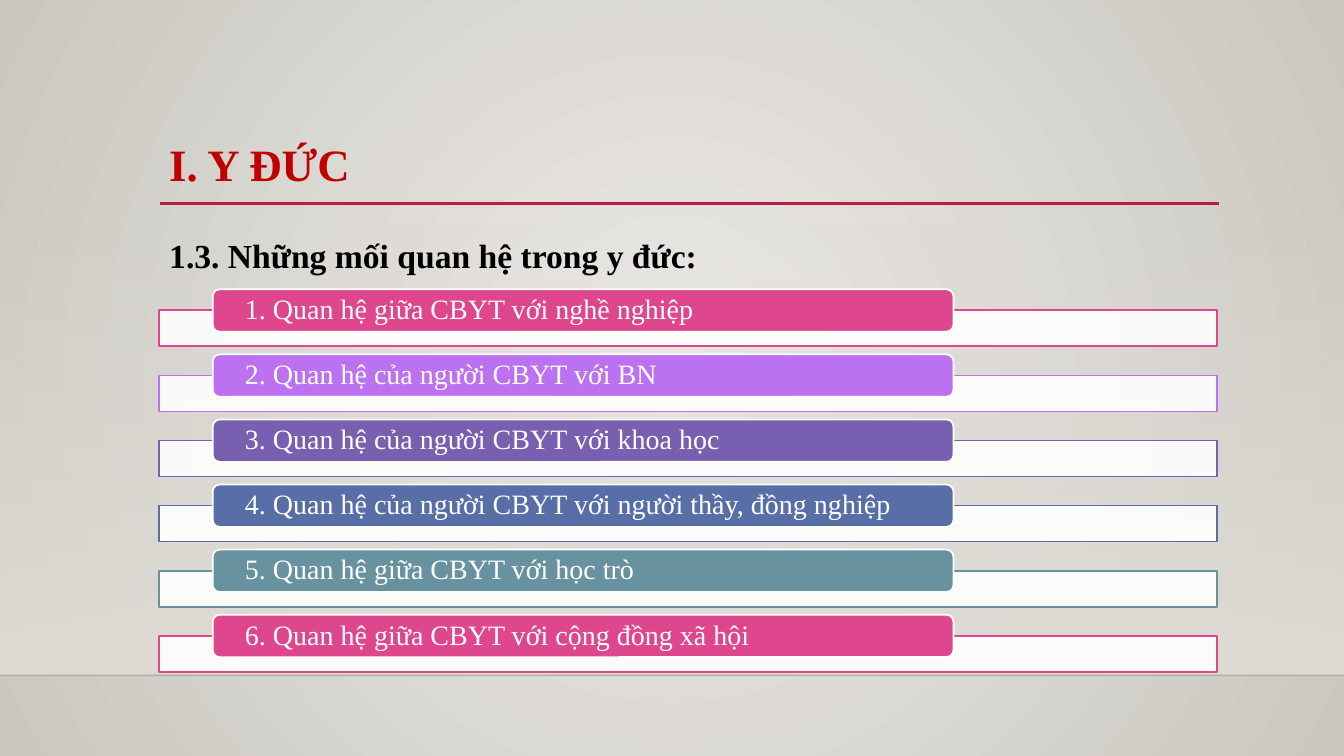
from dataclasses import dataclass

from lxml.etree import SubElement
from pptx import Presentation
from pptx.dml.color import RGBColor
from pptx.enum.shapes import MSO_CONNECTOR, MSO_SHAPE
from pptx.enum.text import MSO_ANCHOR, MSO_AUTO_SIZE, PP_ALIGN
from pptx.oxml.ns import qn
from pptx.util import Cm, Pt

FONT = "Times New Roman"
COLORS = {
    "center": "ECEAE7", "edge": "CAC7C1", "wall": "DFDBD5", "floor": "000001",
    "rule": "B71E42", "title": "C00000", "black": "000000", "white": "FFFFFF",
    "pink": "DE478E", "violet": "BC72F0", "purple": "795FAF",
    "blue": "586EA6", "teal": "6892A0",
}
SLIDE_WIDTH, SLIDE_HEIGHT = 33.87, 19.05
LEFT, WIDTH = 4.01, 26.67
FLOOR_TOP = 17.02
BAR_TOP, BAR_HEIGHT, ROW_PITCH = 7.82, 0.91, 1.64
LABEL_LEFT, LABEL_TOP, LABEL_WIDTH, LABEL_HEIGHT = 5.36, 7.29, 18.67, 1.07


@dataclass
class Relation:
    text: str
    color: str


RELATIONS = [
    Relation("1. Quan hệ giữa CBYT với nghề nghiệp", "pink"),
    Relation("2. Quan hệ của người CBYT với BN", "violet"),
    Relation("3. Quan hệ của người CBYT với khoa học", "purple"),
    Relation("4. Quan hệ của người CBYT với người thầy, đồng nghiệp", "blue"),
    Relation("5. Quan hệ giữa CBYT với học trò", "teal"),
    Relation("6. Quan hệ giữa CBYT với cộng đồng xã hội", "pink"),
]


def rgb(name: str) -> RGBColor:
    return RGBColor.from_string(COLORS[name])


def set_alpha(color_element, percent: int) -> None:
    SubElement(color_element, qn("a:alpha")).set("val", str(percent * 1000))


def set_gradient(fill, first: str, last: str) -> None:
    fill.gradient()
    for stop, name in zip(fill.gradient_stops, (first, last)):
        stop.color.rgb = rgb(name)


def add_box(slide, kind, left, top, width, height):
    shape = slide.shapes.add_shape(kind, Cm(left), Cm(top), Cm(width), Cm(height))
    shape.shadow.inherit = False
    return shape


def style_box(shape, fill: str, line: str) -> None:
    shape.fill.solid()
    shape.fill.fore_color.rgb = rgb(fill)
    shape.line.color.rgb = rgb(line)
    shape.line.width = Pt(1.25)


def add_line(slide, left: float, right: float, top: float, color: str, width: float):
    line = slide.shapes.add_connector(
        MSO_CONNECTOR.STRAIGHT, Cm(left), Cm(top), Cm(right), Cm(top))
    line.line.color.rgb = rgb(color)
    line.line.width = Pt(width)
    SubElement(line._element.spPr, qn("a:effectLst"))
    return line


def write_text(shape, text: str, size: int, color: str, spacing: float,
               anchor, bold: bool = False):
    frame = shape.text_frame
    frame.word_wrap = True
    frame.auto_size = MSO_AUTO_SIZE.NONE
    frame.vertical_anchor = anchor
    paragraph = frame.paragraphs[0]
    paragraph.alignment = PP_ALIGN.LEFT
    paragraph.line_spacing = spacing
    run = paragraph.add_run()
    run.text = text
    run.font.name = FONT
    run.font.size = Pt(size)
    run.font.bold = bold
    run.font.color.rgb = rgb(color)
    return paragraph


def place(shape, top: float, height: float) -> None:
    shape.left, shape.top = Cm(LEFT), Cm(top)
    shape.width, shape.height = Cm(WIDTH), Cm(height)


def add_background(slide) -> None:
    # Radial backdrop
    set_gradient(slide.background.fill, "center", "edge")
    gradient = slide.element.find(".//" + qn("a:gradFill"))
    gradient.remove(gradient.find(qn("a:lin")))
    radial = SubElement(gradient, qn("a:path"))
    radial.set("path", "circle")
    center = SubElement(radial, qn("a:fillToRect"))
    for side in "ltrb":
        center.set(side, "50000")

    # Wall haze, placed behind the text
    haze = add_box(slide, MSO_SHAPE.RECTANGLE, 0, 5.61, SLIDE_WIDTH, FLOOR_TOP - 5.61)
    set_gradient(haze.fill, "wall", "wall")
    haze.fill.gradient_angle = 270
    haze.line.fill.background()
    colors = list(haze._element.spPr.iter(qn("a:srgbClr")))
    set_alpha(colors[0], 0)
    slide.shapes._spTree.insert(2, haze._element)

    # Floor edge and title rule
    floor = add_line(slide, 0, SLIDE_WIDTH, FLOOR_TOP, "floor", 1)
    set_alpha(floor._element.spPr.find(".//" + qn("a:srgbClr")), 20)
    add_line(slide, 4.04, 30.73, 5.13, "rule", 2.5)


def add_headings(slide) -> None:
    title, body = slide.shapes.title, slide.placeholders[1]
    place(title, 3.48, 2.95)
    write_text(title, "I. Y ĐỨC", 32, "title", 0.9, MSO_ANCHOR.TOP, True)

    place(body, 5.59, 9.58)
    paragraph = write_text(body, "1.3. Những mối quan hệ trong y đức:", 24,
                           "black", 1.2, MSO_ANCHOR.TOP, True)
    paragraph.space_before = Pt(10)
    properties = paragraph._p.get_or_add_pPr()
    properties.set("marL", "0")
    properties.set("indent", "0")
    SubElement(properties, qn("a:buNone"))


def add_relation(slide, row: int, relation: Relation) -> None:
    offset = row * ROW_PITCH
    bar = add_box(slide, MSO_SHAPE.RECTANGLE, LEFT, BAR_TOP + offset, WIDTH, BAR_HEIGHT)
    style_box(bar, "white", relation.color)
    set_alpha(bar._element.spPr.find(qn("a:solidFill"))[0], 90)

    label = add_box(slide, MSO_SHAPE.ROUNDED_RECTANGLE, LABEL_LEFT,
                    LABEL_TOP + offset, LABEL_WIDTH, LABEL_HEIGHT)
    style_box(label, relation.color, "white")
    frame = label.text_frame
    frame.margin_left = frame.margin_right = Cm(0.76)
    frame.margin_top = frame.margin_bottom = 0
    write_text(label, relation.text, 20, "white", 0.9, MSO_ANCHOR.MIDDLE)


def main() -> None:
    presentation = Presentation()
    presentation.slide_width = Cm(SLIDE_WIDTH)
    presentation.slide_height = Cm(SLIDE_HEIGHT)
    slide = presentation.slides.add_slide(presentation.slide_layouts[1])
    add_background(slide)
    add_headings(slide)
    for row, relation in enumerate(RELATIONS):
        add_relation(slide, row, relation)
    presentation.save("out.pptx")


if __name__ == "__main__":
    main()
